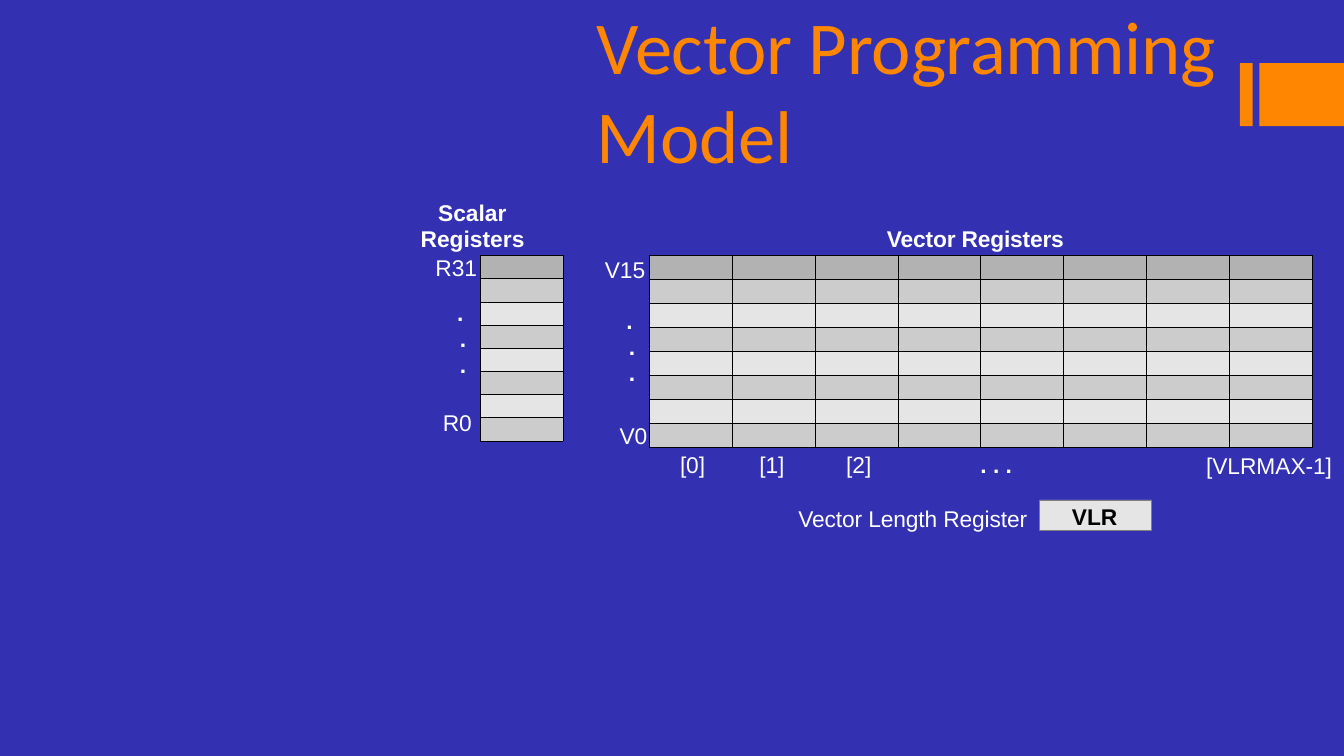
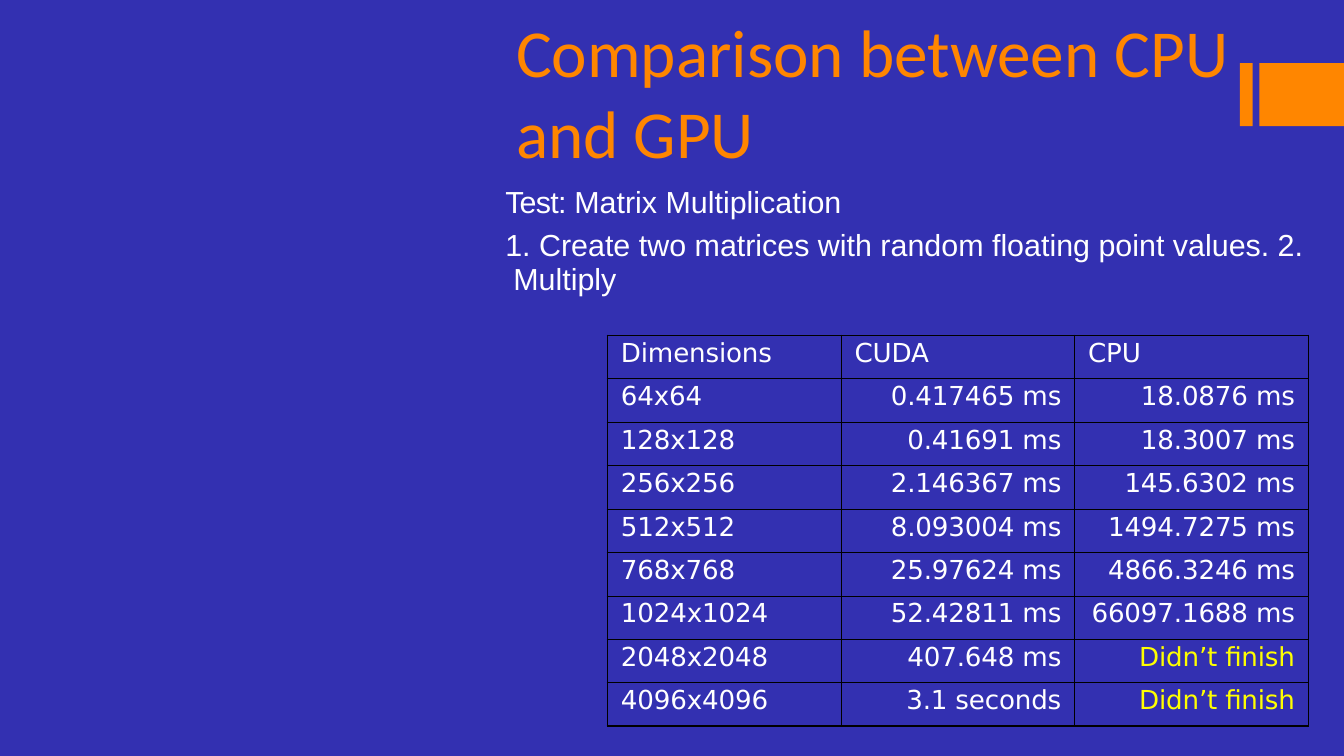
import pptx
import pptx.dml.color
import pptx.enum.shapes
import pptx.enum.text
import pptx.oxml.ns
import pptx.util
from lxml import etree

WIDTH = pptx.util.Inches(10)
HEIGHT = WIDTH * 9 // 16
COLUMN = WIDTH / 100  # the grid is square, 100 columns wide
COLORS = {
    "page": "3330B1",
    "accent": "FF8600",
    "text": "FFFFFF",
    "warning": "FFFF00",
    "ink": "000000",
    "edge": "7F7F7F",
    "dark": "B2B2B2",
    "middle": "CCCCCC",
    "light": "E5E5E5",
}
ALIGN = pptx.enum.text.PP_ALIGN
ANCHOR = pptx.enum.text.MSO_ANCHOR
LABEL_SIZE = 12.2
BODY_SIZE = 16.3
TIMINGS = [
    ("Dimensions", "CUDA", "CPU"),
    ("64x64", "0.417465 ms", "18.0876 ms"),
    ("128x128", "0.41691 ms", "18.3007 ms"),
    ("256x256", "2.146367 ms", "145.6302 ms"),
    ("512x512", "8.093004 ms", "1494.7275 ms"),
    ("768x768", "25.97624 ms", "4866.3246 ms"),
    ("1024x1024", "52.42811 ms", "66097.1688 ms"),
    ("2048x2048", "407.648 ms", "Didn’t finish"),
    ("4096x4096", "3.1 seconds", "Didn’t finish"),
]


def grid(*counts):
    return [round(count * COLUMN) for count in counts]


def color(name):
    return pptx.dml.color.RGBColor.from_string(COLORS[name])


def tag(name):
    return pptx.oxml.ns.qn("a:" + name)


def add_span(para, text, size=LABEL_SIZE, font="Arial", ink="text", bold=False, tracking=0):
    span = para.add_run()
    span.text = text
    span.font.size = pptx.util.Pt(size)
    span.font.name = font
    span.font.bold = bold
    span.font.color.rgb = color(ink)
    if tracking:
        span.font._element.set("spc", str(round(tracking * 100)))


def write(frame, text, align=ALIGN.LEFT, margin=0.1, indent=0, before=0,
          leading=None, **span_format):
    """Add a paragraph; margin and indent are in grid columns."""
    para = frame.paragraphs[0]
    if para.runs:
        para = frame.add_paragraph()
    properties = para._p.get_or_add_pPr()
    for name, count in (("marL", margin), ("indent", indent)):
        properties.set(name, str(grid(count)[0]))
    para.alignment = align
    para.space_before = pptx.util.Pt(before)
    if leading:
        para.line_spacing = pptx.util.Pt(leading)
    add_span(para, text, **span_format)
    return para


def prepare(frame, top=0.1, anchor=ANCHOR.TOP):
    frame.word_wrap = True
    frame.vertical_anchor = anchor
    frame.margin_left = frame.margin_right = frame.margin_bottom = 0
    frame.margin_top = grid(top)[0]
    return frame


def add_text_box(page, place, **frame_format):
    return prepare(page.shapes.add_textbox(*grid(*place)).text_frame, **frame_format)


def add_label(page, place, text, **text_format):
    write(add_text_box(page, place), text, before=0.7, **text_format)


def add_bar(page, place, fill, edge=None):
    bar = page.shapes.add_shape(pptx.enum.shapes.MSO_SHAPE.RECTANGLE, *grid(*place))
    bar.shadow.inherit = False
    bar.fill.solid()
    bar.fill.fore_color.rgb = color(fill)
    if edge:
        bar.line.color.rgb = color(edge)
        bar.line.width = pptx.util.Pt(0.25)
    else:
        bar.line.fill.background()
    return bar


def add_page(deck, title, place, **title_format):
    page = deck.slides.add_slide(deck.slide_layouts[6])
    for left, width in ((92.25, 0.95), (93.7, 6.3)):
        add_bar(page, (left, 4.7, width, 4.7), "accent")
    frame = add_text_box(page, place, anchor=ANCHOR.BOTTOM)
    write(frame, title, font="Calibri", ink="accent", before=0.7, **title_format)
    return page


def set_borders(cell, widths):
    properties = cell._tc.get_or_add_tcPr()
    for side, points in zip("LRTB", widths):
        line = etree.SubElement(properties, tag("ln" + side), w=str(pptx.util.Pt(points)))
        fill = etree.SubElement(line, tag("solidFill"))
        etree.SubElement(fill, tag("srgbClr"), val=COLORS["ink"])


def add_grid_table(page, place, rows, columns, inner, outer, side_margin=0, top_margin=0):
    """Add an unfilled table with equal cells and black borders."""
    left, top, width, height = grid(*place)
    table = page.shapes.add_table(rows, columns, left, top, width, height).table
    table.first_row = table.horz_banding = False
    for column in table.columns:
        column.width = round(width / columns)
    for row in table.rows:
        row.height = round(height / rows)
    for r in range(rows):
        for c in range(columns):
            cell = table.cell(r, c)
            cell.margin_left = cell.margin_right = grid(side_margin)[0]
            cell.margin_top, cell.margin_bottom = grid(top_margin)[0], 0
            on_edge = (c == 0, c == columns - 1, r == 0, r == rows - 1)
            set_borders(cell, [outer if edge else inner for edge in on_edge])
            cell.fill.background()
    return table


def add_registers(page, place, columns):
    table = add_grid_table(page, place, 8, columns, inner=0.25, outer=0.25)
    for r, row in enumerate(table.rows):
        shade = "dark" if r == 0 else "middle" if r % 2 else "light"
        for cell in row.cells:
            cell.fill.solid()
            cell.fill.fore_color.rgb = color(shade)
            # a small end mark keeps the empty row from growing
            etree.SubElement(cell.text_frame.paragraphs[0]._p, tag("endParaRPr"), sz="600")


def add_dots(frame, margins, first_before, align=ALIGN.LEFT):
    for i, margin in enumerate(margins):
        write(frame, ".", bold=True, align=align, margin=margin,
              leading=13.7 if i == 1 else 14.2, before=0 if i else first_before)


def build_vector_model(deck):
    page = add_page(deck, "Vector Programming Model", (44.3, -0.3, 50.6, 13.6),
                    size=40, tracking=-0.1)
    add_registers(page, (48.3, 19, 49.35, 14.3), 8)
    add_registers(page, (35.7, 19, 6.2, 13.8), 1)

    heading = add_text_box(page, (31.2, 14.65, 8, 4.2), top=0.3)
    write(heading, "Scalar Registers", bold=True, indent=1.3, leading=13.7, before=2)
    add_label(page, (65.9, 16.6, 13.6, 2.2), "Vector Registers", bold=True, tracking=-0.1)

    for left, top, width, text in (
        (46, 31.3, 2.3, "V0"), (44.9, 18.95, 3.2, "V15"), (32.85, 30.3, 2.4, "R0"),
        (50.5, 33.45, 2.1, "[0]"), (56.4, 33.45, 2.1, "[1]"), (89.65, 33.5, 9.6, "[VLRMAX-1]"),
    ):
        add_label(page, (left, top, width, 2.2), text, tracking=-0.05)

    add_dots(add_text_box(page, (46.5, 22.8, 0.9, 6)), (0.1, 0.3, 0.3), 0.7)
    scalars = add_text_box(page, (32.3, 18.8, 3.3, 9.4))
    write(scalars, "R31", before=0.7)
    add_dots(scalars, (0.6, 1, 1), 9.9, align=ALIGN.CENTER)

    indexes = add_text_box(page, (59.3, 33.45, 17.5, 6.1))
    para = write(indexes, "[2]\t\t", margin=3.65, before=0.7)
    add_span(para, ". . .", bold=True)
    write(indexes, "Vector Length Register", before=14.2, tracking=-0.08)

    length = prepare(add_bar(page, (77.35, 37.2, 8.3, 2.25), "light", "edge").text_frame, top=0.2)
    write(length, "VLR", ink="ink", bold=True, margin=2.4, before=1.3)


def build_comparison(deck):
    page = add_page(deck, "Comparison between CPU and GPU", (38.3, 0.6, 55, 12.2), size=36)
    test = add_text_box(page, (37.5, 13.15, 59.7, 9), top=0.5)
    para = write(test, "Test: ", size=BODY_SIZE, before=3.7, tracking=-0.4)
    add_span(para, "Matrix Multiplication", size=BODY_SIZE)
    write(test, "1. Create two matrices with random floating point values. 2. Multiply",
          size=BODY_SIZE, margin=0.7, indent=-0.6, leading=18.2, before=4.9)

    table = add_grid_table(page, (45.2, 24.95, 52.15, 29.1), len(TIMINGS), len(TIMINGS[0]),
                           inner=0.5, outer=1, side_margin=1, top_margin=0.2)
    for r, values in enumerate(TIMINGS):
        for c, value in enumerate(values):
            write(table.cell(r, c).text_frame, value, size=14, font="DejaVu Sans",
                  ink="warning" if value.startswith("Didn") else "text",
                  align=ALIGN.RIGHT if r and c else ALIGN.LEFT,
                  margin=0, before=2.3, tracking=-0.1)


def main():
    deck = pptx.Presentation()
    deck.slide_width, deck.slide_height = WIDTH, HEIGHT
    background = deck.slide_master.background.fill
    background.solid()
    background.fore_color.rgb = color("page")
    build_vector_model(deck)
    build_comparison(deck)
    deck.save("out.pptx")


if __name__ == "__main__":
    main()
